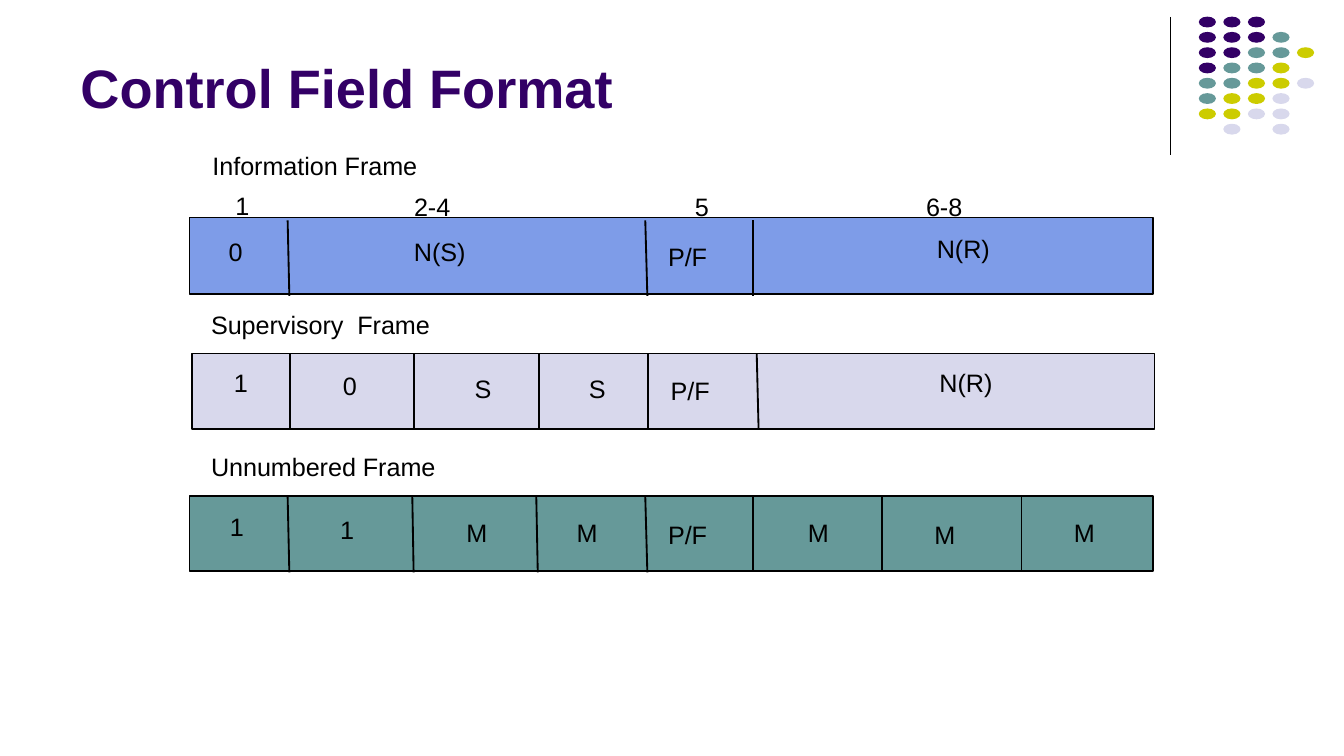
from pptx import Presentation
from pptx.dml.color import RGBColor
from pptx.enum.shapes import MSO_CONNECTOR as CONN, MSO_SHAPE as SHAPE
from pptx.enum.text import MSO_ANCHOR as ANCHOR, MSO_AUTO_SIZE as AUTO
from pptx.oxml.ns import qn
from pptx.util import Pt
from lxml.etree import SubElement

PURPLE, TEAL, OLIVE, LILAC = "330066", "669999", "CCCC00", "D8D8EC"
BLUE, BLACK = "7E9CE8", "000000"


def color(hex_code):
    return RGBColor.from_string(hex_code)


class Deck:
    font = "Arial"
    label_size = 13.5
    label_height = 21.6

    def __init__(self, width, height):
        self.prs = Presentation()
        self.prs.slide_width, self.prs.slide_height = Pt(width), Pt(height)
        self.s = self.prs.slides.add_slide(self.prs.slide_layouts[6])

    def shape(self, kind, x, y, w, h, fill, line=None):
        sp = self.s.shapes.add_shape(kind, Pt(x), Pt(y), Pt(w), Pt(h))
        sp.shadow.inherit = False
        sp.fill.solid()
        sp.fill.fore_color.rgb = color(fill)
        if line:
            sp.line.color.rgb = color(line)
            sp.line.width = Pt(1)
        else:
            sp.line.fill.background()

    def line(self, x1, y1, x2, y2, width=1):
        c = self.s.shapes.add_connector(CONN.STRAIGHT, Pt(x1), Pt(y1), Pt(x2), Pt(y2))
        c.line.color.rgb = color(BLACK)
        c.line.width = Pt(width)
        SubElement(c._element.spPr, qn("a:effectLst"))

    def text(self, text, x, y, w, h, size, fill=BLACK, bold=False):
        sp = self.s.shapes.add_textbox(Pt(x), Pt(y), Pt(w), Pt(h))
        tf = sp.text_frame
        tf.text = text
        r = tf.paragraphs[0].runs[0]
        r.font.name, r.font.size, r.font.bold = self.font, Pt(size), bold
        r.font.color.rgb = color(fill)
        return tf

    def title(self, text, x, y, w, h):
        tf = self.text(text, x, y, w, h, 29, PURPLE, True)
        tf.word_wrap = True
        tf.vertical_anchor = ANCHOR.BOTTOM

    def label(self, text, x, y, w):
        tf = self.text(text, x, y, w, self.label_height, self.label_size)
        tf.word_wrap = False
        tf.auto_size = AUTO.SHAPE_TO_FIT_TEXT
        tf.margin_left = tf.margin_right = Pt(5.1)
        tf.margin_top = tf.margin_bottom = Pt(2.6)

    def frame(self, heading, bar, fill, line_y, dividers, labels):
        self.shape(SHAPE.RECTANGLE, *bar, fill, BLACK)
        for top_x, bottom_x in dividers:
            self.line(top_x, line_y[0], bottom_x, line_y[1])
        self.label(*heading)
        for text, x, y in labels:
            self.label(text, x, y, LABEL_WIDTHS[text])


LABEL_WIDTHS = {"0": 18.7, "1": 18.7, "5": 18.7, "S": 20.2, "M": 22.3, "2-4": 30.2,
                "6-8": 30.2, "P/F": 31.7, "N(S)": 38.9, "N(R)": 39.6}

# Each frame: heading, bar, fill, divider top and bottom, divider x pairs, labels
FRAMES = [
    (("Information Frame", 108.7, 77.8, 122.4),
     (101.5, 116.6, 516.2, 41), BLUE, (118.1, 158.5),
     [(154.1, 155), (345.7, 346.8), (403.2, 403.2)],
     [("1", 121, 99.4), ("2-4", 216.7, 100.1), ("5", 367.2, 100.1), ("6-8", 491, 100.1),
      ("0", 117.4, 123.8), ("N(S)", 216.7, 123.8), ("P/F", 352.8, 126.7),
      ("N(R)", 496.8, 122.4)]),
    (("Supervisory  Frame", 108, 163.4, 129.6),
     (103, 189.4, 515.5, 40.3), LILAC, (189.4, 229.5),
     [(155.5, 155.5), (221.8, 221.8), (288.7, 288.7), (347, 347), (405.4, 406.4)],
     [("1", 120.2, 194.4), ("0", 178.6, 195.8), ("S", 249.1, 197.3), ("S", 310.3, 197.3),
      ("P/F", 354.2, 198.7), ("N(R)", 498.2, 194.4)]),
    (("Unnumbered Frame", 108, 239, 132.5),
     (101.5, 265.7, 516.2, 40.3), TEAL, (266.2, 306.7),
     [(154.1, 155), (220.9, 221.6), (287.3, 288.1), (345.7, 346.8), (403.2, 403.2),
      (472.3, 472.3), (547.2, 547.2)],
     [("1", 118.1, 271.4), ("1", 177.1, 272.9), ("M", 244.8, 274.3), ("M", 303.8, 274.3),
      ("P/F", 352.8, 275.8), ("M", 427.7, 274.3), ("M", 495.4, 275.8),
      ("M", 570.2, 274.3)]),
]

# Corner dots, one letter per dot
DOT_ROWS = ["PPP", "PPPT", "PPTTY", "PTTY", "TTYYL", "TYYL", "YYLL", ".L.L"]
DOT_FILLS = {"P": PURPLE, "T": TEAL, "Y": OLIVE, "L": LILAC}


def main():
    deck = Deck(720, 405)

    # Corner decoration
    deck.line(627.1, 9, 627.1, 83, 0.75)
    for row, letters in enumerate(DOT_ROWS):
        for col, letter in enumerate(letters):
            if letter in DOT_FILLS:
                deck.shape(SHAPE.OVAL, 642.2 + 13.15 * col, 8.9 + 8.2 * row, 9.2, 5.8,
                           DOT_FILLS[letter])

    # Title and frames
    deck.title("Control Field Format", 36, 7.2, 594, 60.5)
    for frame in FRAMES:
        deck.frame(*frame)

    deck.prs.save("out.pptx")


if __name__ == "__main__":
    main()
